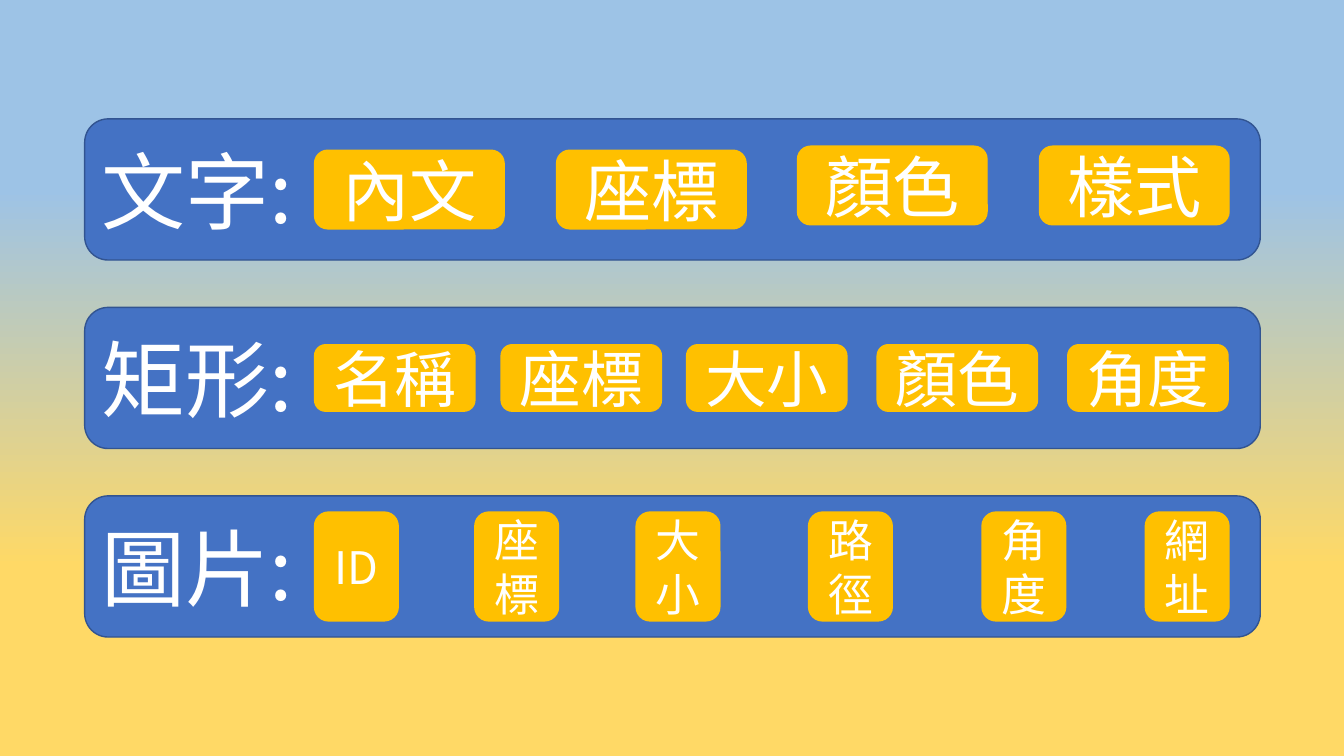
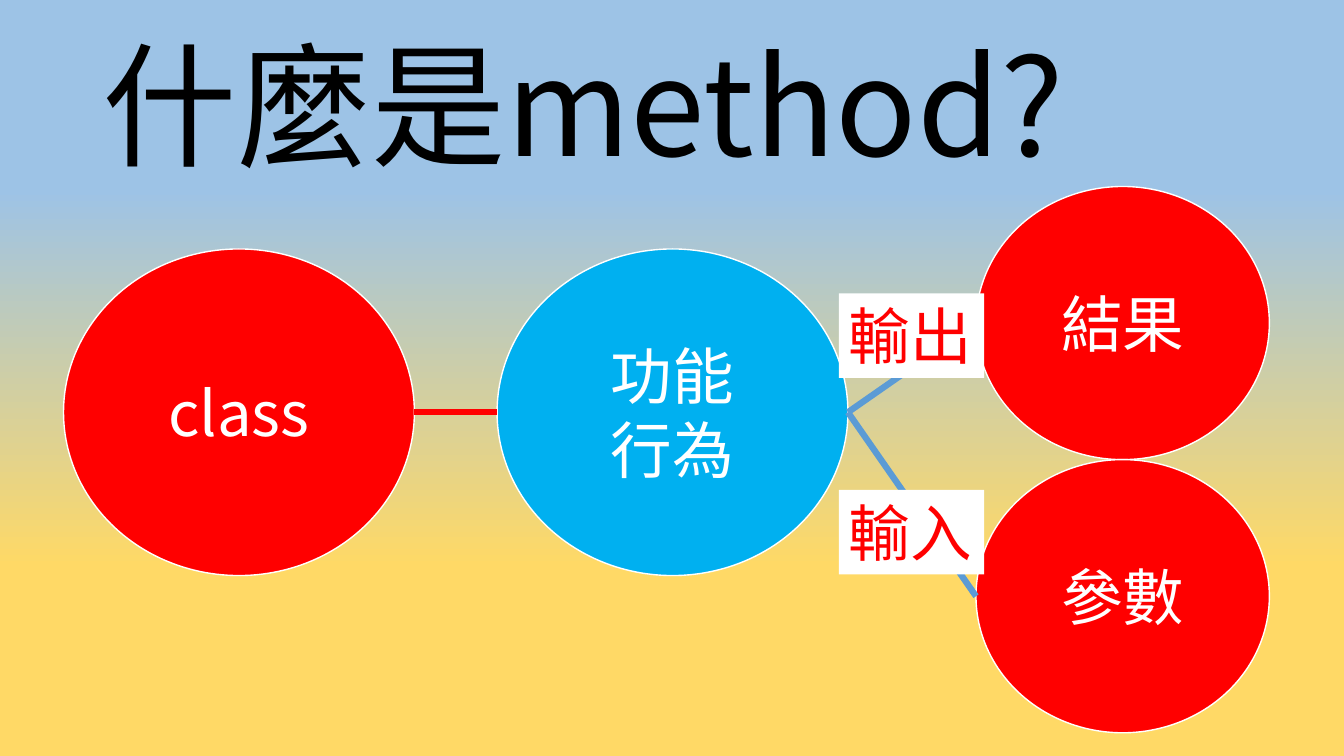
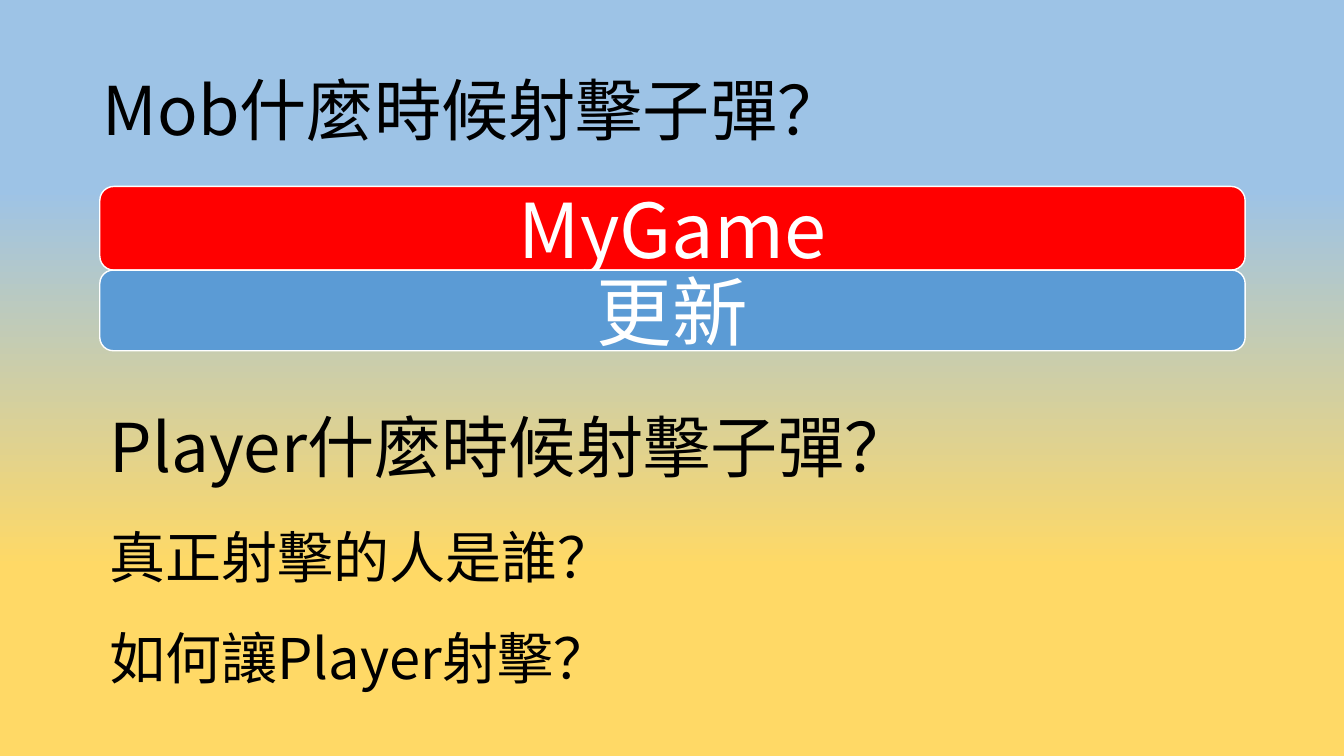
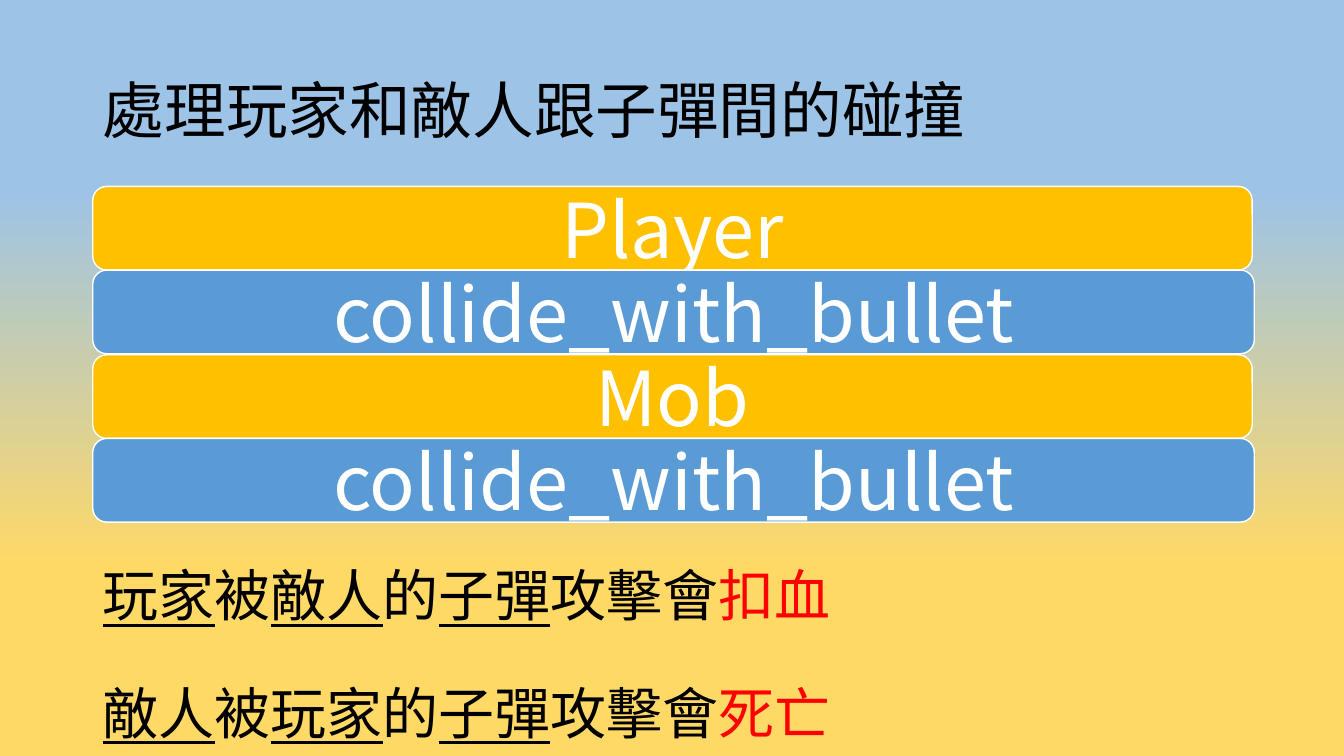
from copy import deepcopy

from lxml import etree
from pptx import Presentation
from pptx.dml.color import RGBColor
from pptx.enum.shapes import MSO_CONNECTOR, MSO_SHAPE
from pptx.enum.text import MSO_ANCHOR, MSO_AUTO_SIZE, PP_ALIGN
from pptx.oxml.ns import qn
from pptx.util import Inches, Pt

ROUNDED = MSO_SHAPE.ROUNDED_RECTANGLE
ELLIPSE = MSO_SHAPE.OVAL
STRAIGHT = MSO_CONNECTOR.STRAIGHT
LEFT, CENTER = PP_ALIGN.LEFT, PP_ALIGN.CENTER
TOP, MIDDLE = MSO_ANCHOR.TOP, MSO_ANCHOR.MIDDLE
FIXED_SIZE, GROW = MSO_AUTO_SIZE.NONE, MSO_AUTO_SIZE.SHAPE_TO_FIT_TEXT

FONT = "Noto Sans CJK SC"
SKY = RGBColor(0x9D, 0xC3, 0xE6)
SAND = RGBColor(0xFF, 0xD9, 0x66)
NAVY = RGBColor(0x44, 0x72, 0xC4)
NAVY_EDGE = RGBColor(0x32, 0x54, 0x91)
AMBER = RGBColor(0xFF, 0xC0, 0x00)
BLUE = RGBColor(0x5B, 0x9B, 0xD5)
CYAN = RGBColor(0x00, 0xB0, 0xF0)
RED = RGBColor(0xFF, 0x00, 0x00)
WHITE = RGBColor(0xFF, 0xFF, 0xFF)
BLACK = RGBColor(0x00, 0x00, 0x00)

TITLE_AND_BODY, TITLE_ONLY, BLANK = 1, 5, 6
MARGIN = 0.92
TITLE_WIDTH, TITLE_HEIGHT = 11.5, 1.45


class Deck:
    """Holds the shared style and the slide being filled."""

    def __init__(self):
        self.presentation = Presentation()
        self.presentation.slide_width = Inches(13.33)
        self.presentation.slide_height = Inches(7.5)
        self.slide = None
        self.paint_background()

    def paint_background(self):
        """Sky-to-sand gradient on the master, flat at both ends."""
        master = self.presentation.slide_master
        fill = master.background.fill
        fill.gradient()
        fill.gradient_angle = 270
        stop_list = master.element.find(".//" + qn("a:gsLst"))
        for _ in range(2):
            stop_list.append(deepcopy(stop_list[0]))
        stops = zip(fill.gradient_stops, (0, 0.25, 0.75, 1), (SKY, SKY, SAND, SAND))
        for stop, position, color in stops:
            stop.position = position
            stop.color.rgb = color

    def new_slide(self, layout):
        layouts = self.presentation.slide_layouts
        self.slide = self.presentation.slides.add_slide(layouts[layout])

    def style_run(self, run, size, color):
        run.font.name = FONT
        run.font.size = Pt(size)
        run.font.color.rgb = color
        east_asian = etree.SubElement(run.font._element, qn("a:ea"))
        east_asian.set("typeface", FONT)

    def style_text(self, shape, size, color, align=LEFT, anchor=MIDDLE, spacing=None):
        text_frame = shape.text_frame
        text_frame.word_wrap = True
        text_frame.auto_size = FIXED_SIZE
        text_frame.vertical_anchor = anchor
        for paragraph in text_frame.paragraphs:
            paragraph.alignment = align
            paragraph.line_spacing = spacing
            for run in paragraph.runs:
                self.style_run(run, size, color)

    def place(self, shape, left, top, width, height):
        shape.left, shape.top = Inches(left), Inches(top)
        shape.width, shape.height = Inches(width), Inches(height)

    def title(self, text, size):
        title = self.slide.shapes.title
        self.place(title, MARGIN, 0.4, TITLE_WIDTH, TITLE_HEIGHT)
        title.text_frame.text = text
        self.style_text(title, size, BLACK, spacing=0.9)

    def body(self, sentences, left, top, width, height, size):
        """Each sentence is a list of (text, color, underlined) parts."""
        body = self.slide.placeholders[1]
        self.place(body, left, top, width, height)
        text_frame = body.text_frame
        for index, parts in enumerate(sentences):
            paragraph = text_frame.add_paragraph() if index else text_frame.paragraphs[0]
            paragraph.space_before = paragraph.space_after = Pt(6)
            properties = paragraph._p.get_or_add_pPr()
            properties.set("marL", "0")
            properties.set("indent", "0")
            etree.SubElement(properties, qn("a:buNone"))
            for text, _, _ in parts:
                paragraph.add_run().text = text
        self.style_text(body, size, BLACK, anchor=TOP, spacing=1.5)
        for paragraph, parts in zip(text_frame.paragraphs, sentences):
            for run, (_, color, underlined) in zip(paragraph.runs, parts):
                run.font.color.rgb = color
                run.font.underline = underlined

    def text(self, text, left, top, width, height, size, spacing):
        box = self.slide.shapes.add_textbox(
            Inches(left), Inches(top), Inches(width), Inches(height))
        box.text_frame.text = text
        self.style_text(box, size, BLACK, spacing=spacing)

    def label(self, text, left, top, width, height):
        """Red words on a white patch that fits them."""
        box = self.slide.shapes.add_textbox(
            Inches(left), Inches(top), Inches(width), Inches(height))
        box.fill.solid()
        box.fill.fore_color.rgb = WHITE
        box.text_frame.text = text
        self.style_text(box, 44, RED, anchor=TOP)
        box.text_frame.word_wrap = False
        box.text_frame.auto_size = GROW

    def shape(self, kind, text, left, top, width, height, fill, line, size, align=CENTER):
        shape = self.slide.shapes.add_shape(
            kind, Inches(left), Inches(top), Inches(width), Inches(height))
        shape.shadow.inherit = False
        shape.fill.solid()
        shape.fill.fore_color.rgb = fill
        shape.line.color.rgb = line
        shape.line.width = Pt(1)
        shape.text_frame.text = text
        self.style_text(shape, size, WHITE, align)
        return shape

    def link(self, start, end, color):
        """Line from the right of one shape to the left of another."""
        connector = self.slide.shapes.add_connector(
            STRAIGHT,
            start.left + start.width, start.top + start.height // 2,
            end.left, end.top + end.height // 2)
        connector.line.color.rgb = color
        connector.line.width = Pt(4.5)
        etree.SubElement(connector._element.spPr, qn("a:effectLst"))


def build_attributes(deck):
    deck.new_slide(BLANK)
    # Bands
    for index, name in enumerate(("文字:", "矩形:", "圖片:")):
        deck.shape(ROUNDED, name, 0.84, 1.18 + 1.87 * index, 11.66, 1.4,
                   NAVY, NAVY_EDGE, 60, LEFT)
    # Chips: width, height, text size, then (text, left, top) of each
    chip_rows = (
        (1.88, 0.78, 48, (("內文", 3.12, 1.49), ("座標", 5.52, 1.49),
                          ("顏色", 7.91, 1.45), ("樣式", 10.31, 1.45))),
        (1.59, 0.66, 44, (("名稱", 3.12, 3.42), ("座標", 4.97, 3.42), ("大小", 6.81, 3.42),
                          ("顏色", 8.7, 3.42), ("角度", 10.59, 3.42))),
        (0.83, 1.08, 32, (("ID", 3.12, 5.08), ("座標", 4.71, 5.08), ("大小", 6.31, 5.08),
                          ("路徑", 8.02, 5.08), ("角度", 9.74, 5.08), ("網址", 11.36, 5.08))),
    )
    for width, height, size, chips in chip_rows:
        for text, left, top in chips:
            deck.shape(ROUNDED, text, left, top, width, height, AMBER, AMBER, size)


def build_method(deck):
    deck.new_slide(TITLE_ONLY)
    deck.title("什麼是method?", 96)
    # Circles
    behaviour = deck.shape(ELLIPSE, "功能\n行為", 4.93, 2.47, 3.48, 3.24, CYAN, WHITE, 44)
    owner = deck.shape(ELLIPSE, "class", 0.63, 2.47, 3.48, 3.24, RED, WHITE, 44)
    result, parameter = [
        deck.shape(ELLIPSE, text, 9.68, top, 2.91, 2.71, RED, WHITE, 44)
        for text, top in (("結果", 1.85), ("參數", 4.56))]
    # Links and their labels
    deck.link(owner, behaviour, RED)
    deck.link(behaviour, result, BLUE)
    deck.link(behaviour, parameter, BLUE)
    deck.label("輸出", 8.32, 2.91, 1.44, 0.84)
    deck.label("輸入", 8.32, 4.86, 1.44, 0.84)


def build_shooting(deck):
    deck.new_slide(TITLE_ONLY)
    deck.title("Mob什麼時候射擊子彈？", 48)
    # Class and method bars
    deck.shape(ROUNDED, "MyGame", 0.99, 1.85, 11.36, 0.83, RED, WHITE, 54)
    deck.shape(ROUNDED, "更新", 0.99, 2.68, 11.36, 0.8, BLUE, WHITE, 54)
    # Questions
    deck.text("Player什麼時候射擊子彈？", 0.99, 3.75, TITLE_WIDTH, TITLE_HEIGHT, 48, 0.9)
    deck.text("真正射擊的人是誰？\n如何讓Player射擊？", 0.99, 4.82, TITLE_WIDTH, 2.06, 40, 1.5)


def build_collision(deck):
    deck.new_slide(TITLE_AND_BODY)
    deck.title("處理玩家和敵人跟子彈間的碰撞", 44)
    # Class bars, each followed by its method
    for index, name in enumerate(("Player", "Mob")):
        top = 1.85 + 1.67 * index
        deck.shape(ROUNDED, name, MARGIN, top, 11.5, 0.83, AMBER, WHITE, 54)
        deck.shape(ROUNDED, "collide_with_bullet", MARGIN, top + 0.83, 11.52, 0.83,
                   BLUE, WHITE, 54)
    # Outcomes
    outcomes = (("玩家", "敵人", "扣血"), ("敵人", "玩家", "死亡"))
    sentences = [
        [(victim, BLACK, True), ("被", BLACK, False), (attacker, BLACK, True),
         ("的", BLACK, False), ("子彈", BLACK, True), ("攻擊會", BLACK, False),
         (effect, RED, False)]
        for victim, attacker, effect in outcomes]
    deck.body(sentences, MARGIN, 5.18, TITLE_WIDTH, 2.32, 40)


def main():
    deck = Deck()
    build_attributes(deck)
    build_method(deck)
    build_shooting(deck)
    build_collision(deck)
    deck.presentation.save("out.pptx")


if __name__ == "__main__":
    main()
